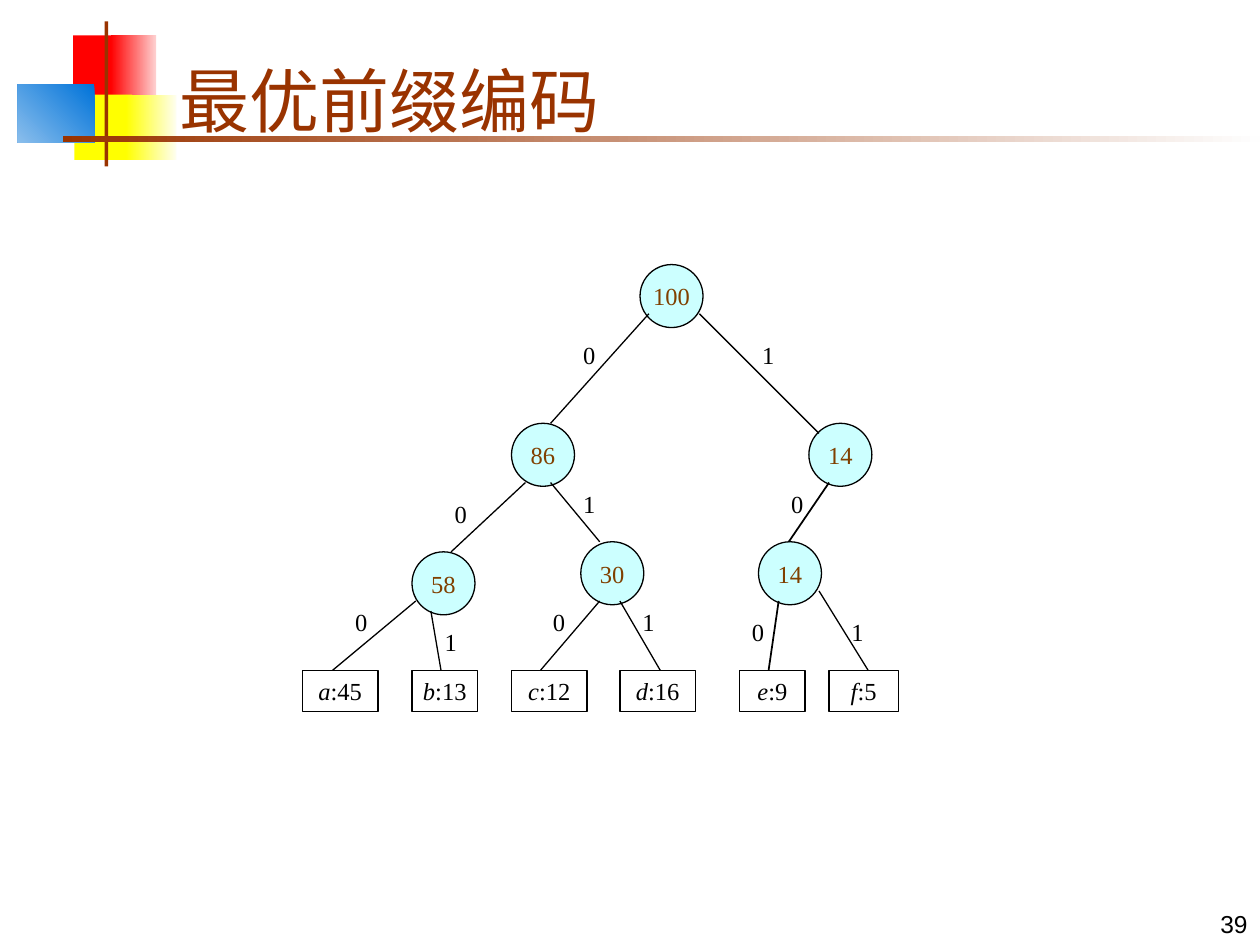
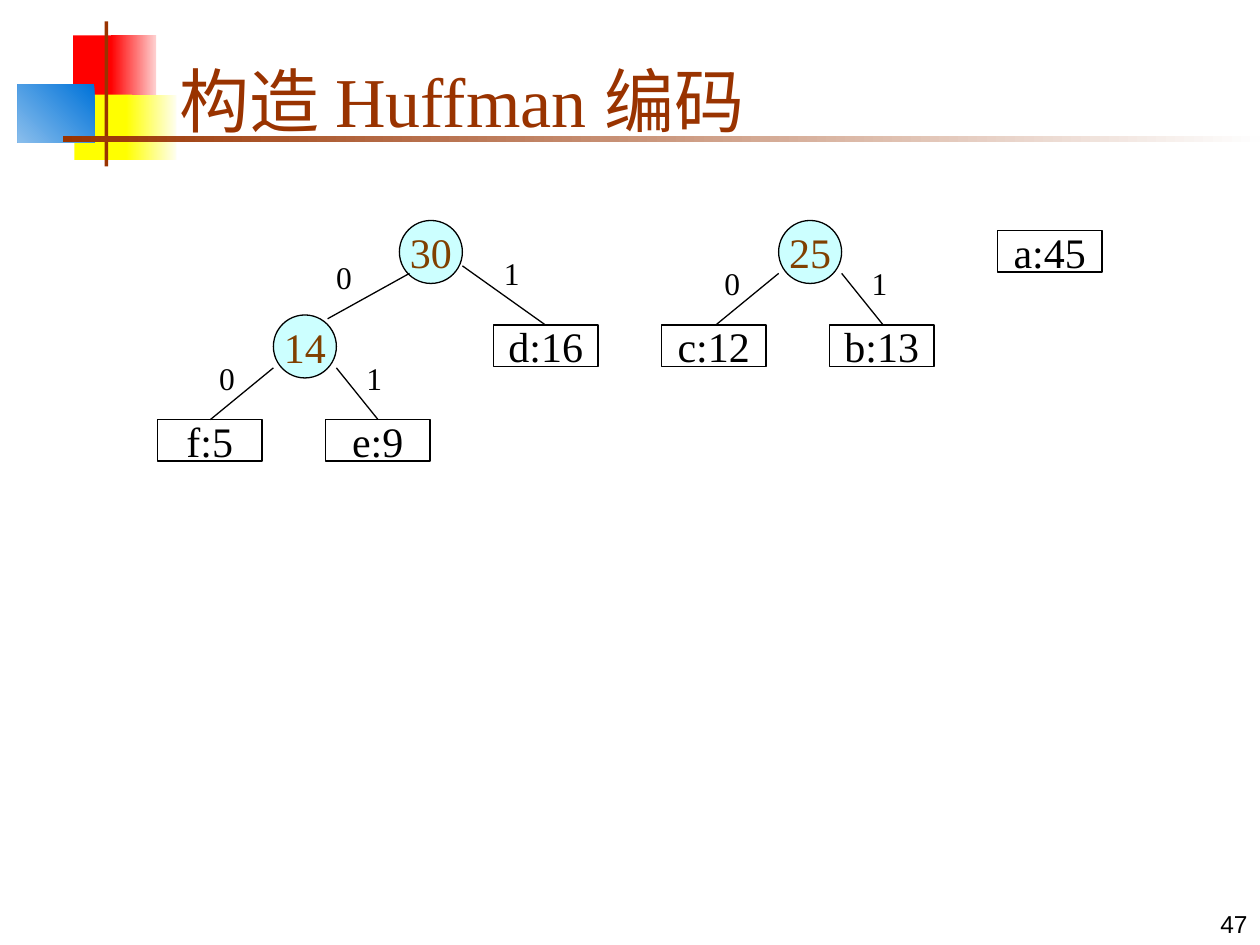
"""Build two slides on optimal prefix codes and Huffman trees."""
from pptx import Presentation
from pptx.dml.color import RGBColor
from pptx.enum import shapes as sh, text as tx
from pptx.oxml.ns import qn
from pptx.util import Inches, Pt
from lxml import etree

RUST = RGBColor(0x99, 0x33, 0x00)
BROWN = RGBColor(0x80, 0x40, 0x00)
BLACK = RGBColor(0, 0, 0)
CYAN = RGBColor(0xCC, 0xFF, 0xFF)
RED = RGBColor(0xFF, 0, 0)
PINK = RGBColor(0xFE, 0xD0, 0xD0)
YELLOW = RGBColor(0xFF, 0xFF, 0)
CREAM = RGBColor(0xFE, 0xFE, 0xEF)
BLUE = RGBColor(0, 0x73, 0xD9)
SKY = RGBColor(0x8A, 0xBE, 0xEC)
WHITE = RGBColor(0xFE, 0xFE, 0xFE)
SERIF, SANS = "Times New Roman", "Arial"
MID, LEFT, RIGHT = tx.PP_ALIGN.CENTER, tx.PP_ALIGN.LEFT, tx.PP_ALIGN.RIGHT

# Each band: box, colours, gradient angle.
BANDS = [
    ((0.58, 0.28, 0.35, 0.52), [RED], 0),
    ((0.88, 0.28, 0.36, 0.52), [RED, PINK], 0),
    ((0.59, 0.75, 0.46, 0.52), [YELLOW], 0),
    ((1, 0.75, 0.4, 0.52), [YELLOW, CREAM], 0),
    ((0.14, 0.67, 0.61, 0.46), [BLUE, SKY], 225),
    ((0.83, 0.17, 0.03, 1.15), [RUST], 0),
    ((0.5, 1.08, 9.5, 0.05), [RUST, WHITE], 0),
]
NODE, LEAF, STEP = 0.5, 0.33, 4 / 3


def fork(x, y):
    """Return the two edges that hang below a node at x, y."""
    return [("0", (x - 0.53, y + 0.3), (x, y + 0.42), (x - 0.5, y + 0.83), 0.75),
            ("1", (x + 0.64, y + 0.3), (x + 0.5, y + 0.42), (x + 0.83, y + 0.83), 0.75)]


# Leaves: text, left, top, width. Edges: bit, label spot, start, end, weight.
PREFIX = {
    "title": "最优前缀编码", "page": "39", "size": 14, "bit": 14, "slant": True,
    "label": (0.3, 0.34),
    "nodes": [("100", 5.08, 2.1), ("86", 4.06, 3.36), ("14", 6.42, 3.36),
              ("58", 3.27, 4.38), ("30", 4.61, 4.3), ("14", 6.02, 4.3)],
    "leaves": [(name, x, 5.32, w) for name, x, w in [
        ("a:45", 2.4, 0.6), ("b:13", 3.27, 0.52), ("c:12", 4.06, 0.6),
        ("d:16", 4.92, 0.6), ("e:9", 5.87, 0.52), ("f:5", 6.58, 0.55)]],
    "edges": [
        ("0", (4.53, 2.65), (5.15, 2.49), (4.37, 3.36), 0.75),
        ("1", (5.95, 2.65), (5.55, 2.49), (6.5, 3.44), 0.75),
        ("0", (3.51, 3.91), (4.17, 3.83), (3.58, 4.38), 0.75),
        ("1", (4.53, 3.83), (4.37, 3.83), (4.76, 4.3), 0.75),
        ("0", (6.18, 3.83), (6.58, 3.83), (6.26, 4.3), 1),
        ("0", (2.72, 4.77), (3.3, 4.77), (2.64, 5.32), 0.75),
        ("1", (3.43, 4.93), (3.42, 4.85), (3.5, 5.32), 0.75),
        ("0", (4.29, 4.77), (4.76, 4.77), (4.29, 5.32), 0.75),
        ("1", (5, 4.77), (4.92, 4.77), (5.24, 5.32), 0.75),
        ("0", (5.87, 4.85), (6.18, 4.77), (6.1, 5.32), 1),
        ("1", (6.66, 4.85), (6.5, 4.69), (6.89, 5.32), 0.75)],
}
HUFFMAN = {
    "title": "构造 Huffman 编码", "page": "47", "size": 24, "bit": 18, "slant": False,
    "label": (0.34, 0.4),
    "nodes": [("30", 3.17, 1.75), ("14", 2.17, 2.5), ("25", 6.18, 1.75)],
    "leaves": [(name, 1.25 + i * STEP, y, 0.83) for i, (name, y) in enumerate([
        ("f:5", 3.33), ("e:9", 3.33), ("d:16", 2.58),
        ("c:12", 2.58), ("b:13", 2.58), ("a:45", 1.83)])],
    "edges": [("0", (2.57, 2), (3.25, 2.17), (2.6, 2.53), 0.75),
              ("1", (3.9, 1.97), (3.67, 2.11), (4.33, 2.58), 0.75),
              *fork(2.17, 2.5), *fork(6.18, 1.75)],
}


def style(run, size, color, face=SERIF):
    run.font.size, run.font.name = Pt(size), face
    run.font.color.rgb = color


def write(shape, parts, size, color, align, anchor, wrap=False, face=SERIF):
    frame = shape.text_frame
    frame.word_wrap, frame.vertical_anchor = wrap, anchor
    para = frame.paragraphs[0]
    para.alignment = align
    for part in parts:
        run = para.add_run()
        run.text = part
        style(run, size, color, face)
    return para


def put(slide, kind, box):
    shape = slide.shapes.add_shape(kind, *map(Inches, box))
    shape.shadow.inherit = False
    return shape


def label(slide, box, words, size, color, align, anchor, wrap=False, face=SERIF):
    shape = slide.shapes.add_textbox(*map(Inches, box))
    write(shape, [words], size, color, align, anchor, wrap, face)
    return shape


def band(slide, box, hues, angle):
    shape = put(slide, sh.MSO_SHAPE.RECTANGLE, box)
    shape.line.fill.background()
    if len(hues) == 1:
        shape.fill.solid()
        shape.fill.fore_color.rgb = hues[0]
        return
    shape.fill.gradient()
    shape.fill.gradient_angle = angle
    for stop, hue in zip(shape.fill.gradient_stops, hues):
        stop.color.rgb = hue


def cell(slide, kind, box, parts, size, color, fill=None):
    shape = put(slide, kind, box)
    if fill is None:
        shape.fill.background()
    else:
        shape.fill.solid()
        shape.fill.fore_color.rgb = fill
    shape.line.color.rgb, shape.line.width = BLACK, Pt(0.75)
    return write(shape, parts, size, color, MID, tx.MSO_ANCHOR.MIDDLE)


def edge(slide, start, end, weight):
    line = slide.shapes.add_connector(
        sh.MSO_CONNECTOR.STRAIGHT, *map(Inches, (*start, *end)))
    line.line.color.rgb, line.line.width = BLACK, Pt(weight)
    etree.SubElement(line._element.spPr, qn("a:effectLst"))


def build(deck, tree):
    slide = deck.slides.add_slide(deck.slide_layouts[6])
    for item in BANDS:
        band(slide, *item)
    low = tx.MSO_ANCHOR.BOTTOM
    label(slide, (1.33, 0.25, 8.52, 0.92), tree["title"], 40, RUST, LEFT, low, True)
    for name, x, y, wide in tree["leaves"]:
        key, count = name.split(":")
        parts = [key, ":" + count] if tree["slant"] else [name]
        para = cell(slide, sh.MSO_SHAPE.RECTANGLE, (x, y, wide, LEAF),
                    parts, tree["size"], BLACK)
        para.runs[0].font.italic = tree["slant"]
    for name, x, y in tree["nodes"]:
        cell(slide, sh.MSO_SHAPE.OVAL, (x, y, NODE, NODE),
             [name], tree["size"], BROWN, CYAN)
    for bit, spot, start, end, weight in tree["edges"]:
        edge(slide, start, end, weight)
        box = label(slide, (*spot, *tree["label"]), bit, tree["bit"],
                    BLACK, LEFT, tx.MSO_ANCHOR.TOP)
        box.text_frame.auto_size = tx.MSO_AUTO_SIZE.SHAPE_TO_FIT_TEXT
    label(slide, (7.92, 7, 2.08, 0.5), tree["page"], 14, BLACK, RIGHT, low, True, SANS)


def main():
    deck = Presentation()
    deck.slide_width, deck.slide_height = Inches(10), Inches(7.5)
    for tree in (PREFIX, HUFFMAN):
        build(deck, tree)
    deck.save("out.pptx")


if __name__ == "__main__":
    main()
